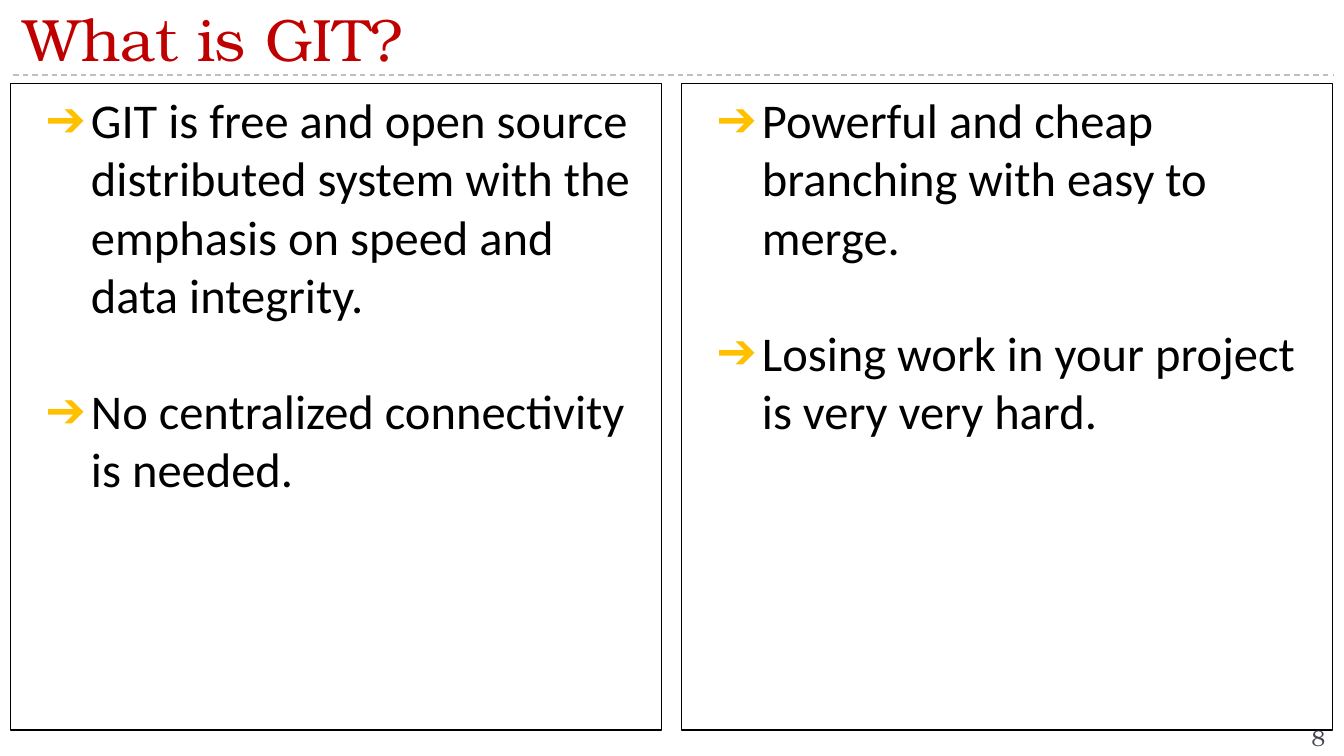
from lxml import etree
from pptx import Presentation
from pptx.dml.color import RGBColor
from pptx.enum.dml import MSO_LINE
from pptx.enum.shapes import MSO_CONNECTOR, MSO_SHAPE
from pptx.enum.text import MSO_ANCHOR, PP_ALIGN
from pptx.oxml.ns import qn
from pptx.util import Cm, Pt

STRAIGHT = MSO_CONNECTOR.STRAIGHT
RECTANGLE = MSO_SHAPE.RECTANGLE
DASH = MSO_LINE.DASH
TOP, MIDDLE = MSO_ANCHOR.TOP, MSO_ANCHOR.MIDDLE
LEFT, CENTER = PP_ALIGN.LEFT, PP_ALIGN.CENTER

SERIF, SANS = "TeX Gyre Bonum", "Calibri"
TITLE = "What is GIT?"
PAGE_NUMBER = "8"
COLUMNS = [
    [
        "GIT is free and open source distributed system with the emphasis on speed and data integrity.",
        "No centralized connectivity is needed.",
    ],
    [
        "Powerful and cheap branching with easy to merge.",
        "Losing work in your project is very very hard.",
    ],
]
MARGIN, COLUMN_TOP = 0.2, 1.58
COLUMN_WIDTH, COLUMN_HEIGHT, GAP = 12.3, 12.22, 0.38


def color(value):
    return RGBColor.from_string(value)


def style(paragraph, font_name, size, value, alignment=LEFT):
    paragraph.alignment = alignment
    for span in paragraph.runs:
        span.font.name = font_name
        span.font.size = Pt(size)
        span.font.color.rgb = color(value)


def add_bullet(paragraph):
    properties = paragraph._p.get_or_add_pPr()
    properties.set("marL", str(Cm(1.27)))
    properties.set("indent", str(Cm(-0.86)))
    bullet_color = etree.SubElement(properties, qn("a:buClr"))
    etree.SubElement(bullet_color, qn("a:srgbClr"), val="FFC000")
    etree.SubElement(properties, qn("a:buFont"), typeface="Arial")
    etree.SubElement(properties, qn("a:buChar"), char="➔")


def add_label(page, text, place, size, value, alignment, anchor):
    box = page.shapes.add_textbox(*map(Cm, place))
    frame = box.text_frame
    frame.word_wrap = True
    frame.vertical_anchor = anchor
    frame.text = text
    style(frame.paragraphs[0], SERIF, size, value, alignment)


def add_rule(page):
    rule = page.shapes.add_connector(STRAIGHT, Cm(0.25), Cm(1.42), Cm(25.2), Cm(1.42))
    rule.line.color.rgb = color("BFBFBF")
    rule.line.width = Pt(0.75)
    rule.line.dash_style = DASH
    etree.SubElement(rule._element.spPr, qn("a:effectLst"))


def add_column(page, index, points):
    left = MARGIN + index * (COLUMN_WIDTH + GAP)
    place = (left, COLUMN_TOP, COLUMN_WIDTH, COLUMN_HEIGHT)
    panel = page.shapes.add_shape(RECTANGLE, *map(Cm, place))
    panel.shadow.inherit = False
    panel.fill.background()
    panel.line.color.rgb = color("000000")
    panel.line.width = Pt(0.75)
    frame = panel.text_frame
    frame.word_wrap = True
    frame.vertical_anchor = TOP
    frame.text = "\n".join(points)
    for number, paragraph in enumerate(frame.paragraphs):
        if number:
            paragraph.space_before = Pt(31.2)
        add_bullet(paragraph)
        style(paragraph, SANS, 26, "000000")


def main():
    deck = Presentation()
    deck.slide_width, deck.slide_height = Cm(25.4), Cm(14.29)
    page = deck.slides.add_slide(deck.slide_layouts[6])
    add_rule(page)
    for index, points in enumerate(COLUMNS):
        add_column(page, index, points)
    add_label(page, TITLE, (0.2, 0.08, 19.56, 1.27), 32, "C00000", LEFT, MIDDLE)
    add_label(page, PAGE_NUMBER, (24.43, 13.56, 0.97, 0.76), 12, "464653", CENTER, TOP)
    deck.save("out.pptx")


if __name__ == "__main__":
    main()
